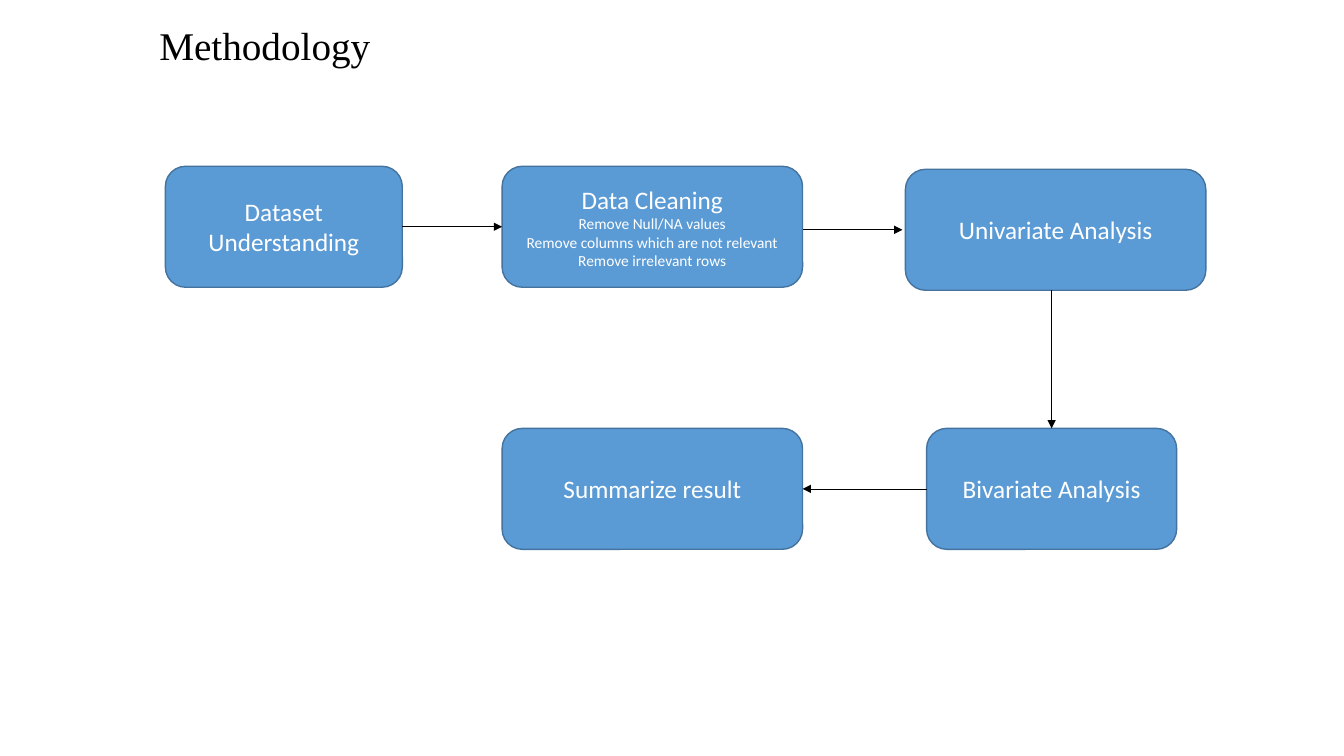
from lxml import etree
from pptx import Presentation
from pptx.dml.color import RGBColor
from pptx.enum.shapes import MSO_CONNECTOR, MSO_SHAPE
from pptx.enum.text import MSO_ANCHOR, MSO_AUTO_SIZE, PP_ALIGN
from pptx.oxml.ns import qn
from pptx.util import Emu, Pt

ROUNDED = MSO_SHAPE.ROUNDED_RECTANGLE
STRAIGHT = MSO_CONNECTOR.STRAIGHT
MIDDLE = MSO_ANCHOR.MIDDLE
NO_FIT = MSO_AUTO_SIZE.NONE
LEFT = PP_ALIGN.LEFT
CENTER = PP_ALIGN.CENTER

EMU_PER_PX = 9144
TITLE_ONLY = 5
TOP_SIDE, LEFT_SIDE, BOTTOM_SIDE, RIGHT_SIDE = range(4)
STEP_HEIGHT = 120
FIRST_ROW, SECOND_ROW = 165, 425


def px(length):
    return Emu(length * EMU_PER_PX)


def color(value):
    return RGBColor.from_string(value)


class FlowPage:
    title_font = "Times New Roman"
    body_font = "Calibri"
    ink = "000000"
    step_fill = "5B9BD5"
    step_line = "43739E"
    step_text = "FFFFFF"

    def __init__(self, deck):
        self.page = deck.slides.add_slide(deck.slide_layouts[TITLE_ONLY])

    def format_para(self, para, font, size, ink, alignment):
        para.alignment = alignment
        for span in para.runs:
            span.font.name = font
            span.font.size = Pt(size)
            span.font.color.rgb = color(ink)

    def title(self, text, left, top, width, height):
        box = self.page.shapes.title
        box.left, box.top, box.width, box.height = map(px, (left, top, width, height))
        frame = box.text_frame
        frame.text = text
        frame.auto_size = NO_FIT
        frame.vertical_anchor = MIDDLE
        para = frame.paragraphs[0]
        para.line_spacing = 0.9
        self.format_para(para, self.title_font, 28, self.ink, LEFT)

    def step(self, heading, left, top, width, details=()):
        box = self.page.shapes.add_shape(
            ROUNDED, px(left), px(top), px(width), px(STEP_HEIGHT)
        )
        box.shadow.inherit = False
        box.fill.solid()
        box.fill.fore_color.rgb = color(self.step_fill)
        box.line.color.rgb = color(self.step_line)
        box.line.width = Pt(1)
        frame = box.text_frame
        frame.text = "\n".join([heading, *details])
        frame.word_wrap = True
        frame.vertical_anchor = MIDDLE
        for index, para in enumerate(frame.paragraphs):
            size = 11 if index else 18
            self.format_para(para, self.body_font, size, self.step_text, CENTER)
        return box

    def arrow(self, start, end, source=None, target=None):
        line = self.page.shapes.add_connector(STRAIGHT, *map(px, start + end))
        if source:
            line.begin_connect(*source)
        if target:
            line.end_connect(*target)
        line.line.color.rgb = color(self.ink)
        line.line.width = Pt(0.5)
        properties = line._element.spPr
        outline = properties.find(qn("a:ln"))
        etree.SubElement(outline, qn("a:tailEnd"), type="triangle")
        etree.SubElement(properties, qn("a:effectLst"))


def main():
    deck = Presentation()
    deck.slide_width, deck.slide_height = px(1333), px(750)
    flow = FlowPage(deck)
    flow.title("Methodology", 148, 0, 1019, 94)

    understanding = flow.step("Dataset Understanding", 164, FIRST_ROW, 235)
    cleaning = flow.step(
        "Data Cleaning", 498, FIRST_ROW, 298,
        ["Remove Null/NA values",
         "Remove columns which are not relevant",
         "Remove irrelevant rows"],
    )
    flow.step("Univariate Analysis", 898, FIRST_ROW + 3, 298)
    bivariate = flow.step("Bivariate Analysis", 919, SECOND_ROW, 248)
    summary = flow.step("Summarize result", 498, SECOND_ROW, 298)

    flow.arrow((399, 225), (498, 225),
               (understanding, RIGHT_SIDE), (cleaning, LEFT_SIDE))
    flow.arrow((796, 228), (895, 228))
    flow.arrow((1043, 288), (1043, 425), target=(bivariate, TOP_SIDE))
    flow.arrow((919, 485), (796, 485),
               (bivariate, LEFT_SIDE), (summary, RIGHT_SIDE))
    deck.save("out.pptx")


if __name__ == "__main__":
    main()
